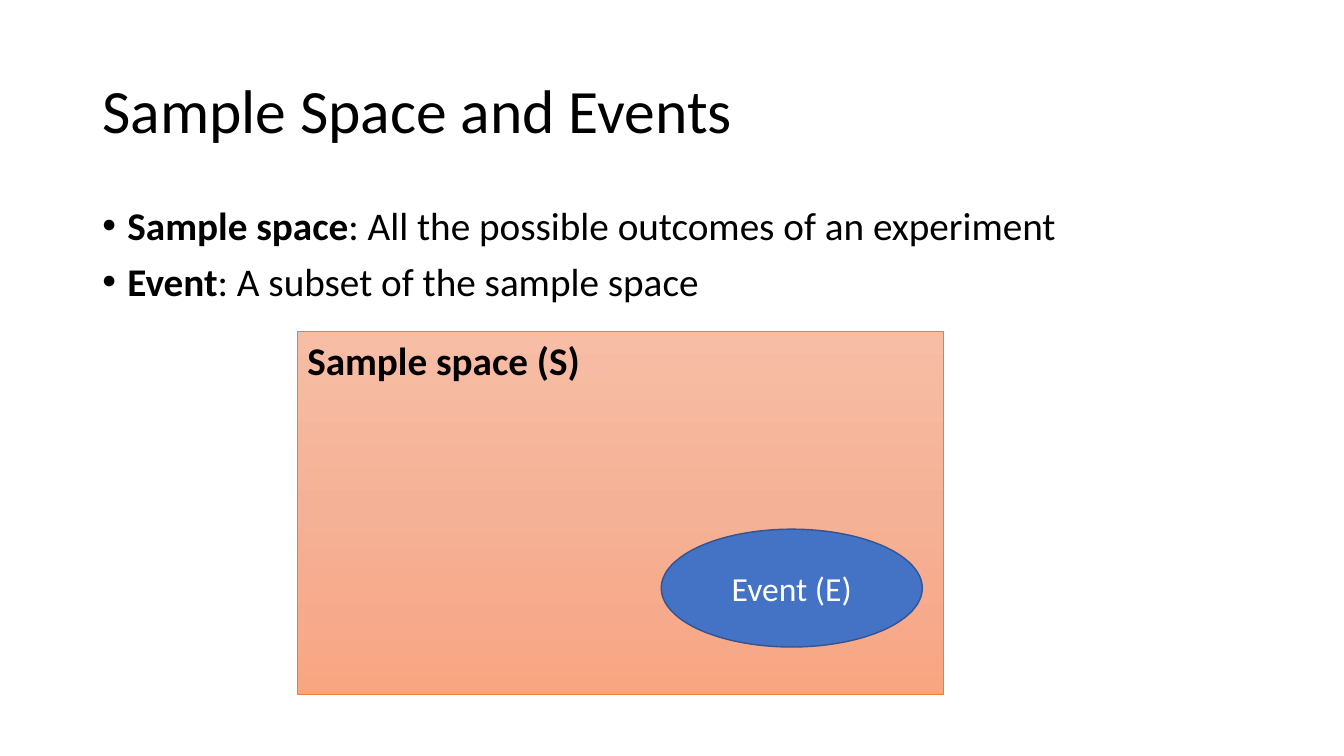
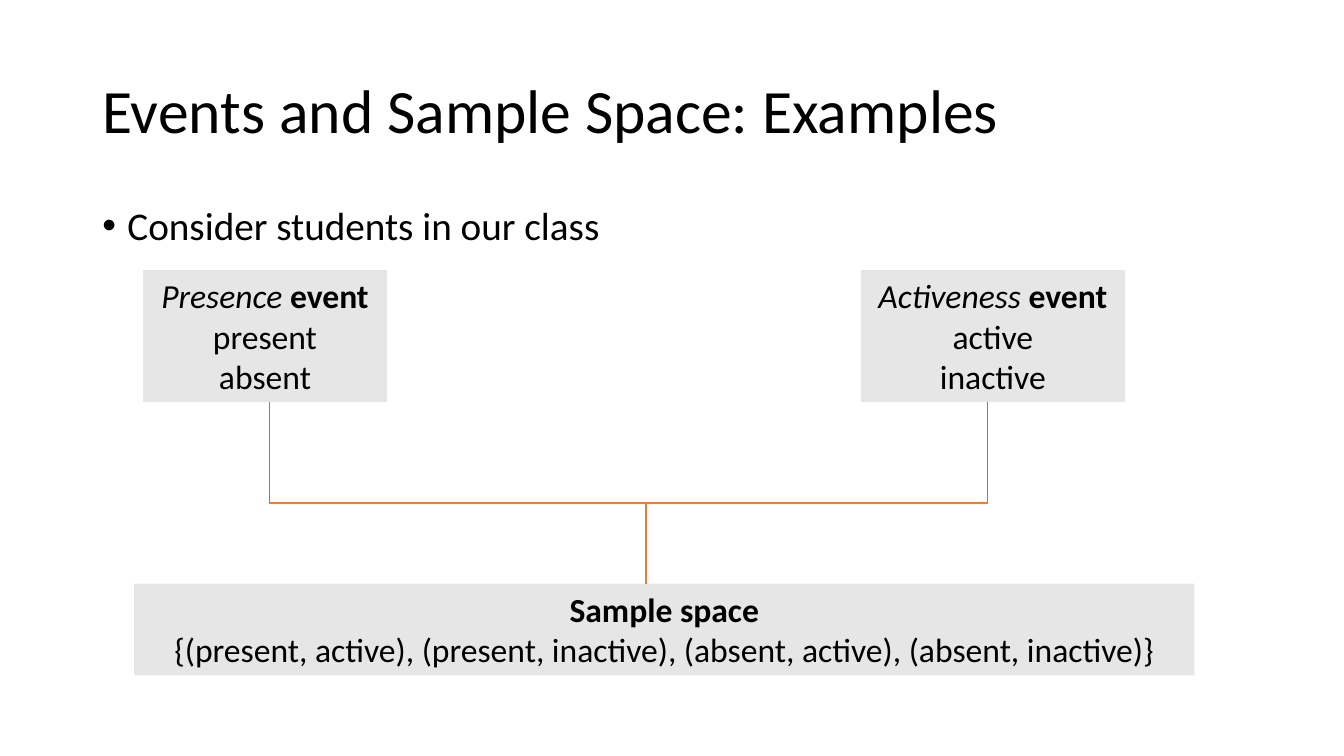
"""Build two slides on sample spaces and events."""
from copy import deepcopy
from dataclasses import dataclass

from lxml import etree
from pptx import Presentation
from pptx import util as u
from pptx.dml.color import RGBColor
from pptx.enum import shapes, text
from pptx.oxml import ns


@dataclass(frozen=True)
class Theme:
    font: str = "Calibri"
    title_size: int = 44
    body_size: int = 28
    label_size: int = 24
    ink: RGBColor = RGBColor(0, 0, 0)
    white: RGBColor = RGBColor(255, 255, 255)
    panel: RGBColor = RGBColor.from_string("E7E6E6")
    orange: RGBColor = RGBColor.from_string("ED7D31")
    gray: RGBColor = RGBColor.from_string("808080")
    blue: RGBColor = RGBColor.from_string("4472C4")
    dark_blue: RGBColor = RGBColor.from_string("325491")
    gradient: tuple = ("F7BDA5", "F5B196", "F8A582")


theme = Theme()
LEFT, CENTER = text.PP_ALIGN.LEFT, text.PP_ALIGN.CENTER
TOP, MIDDLE = text.MSO_ANCHOR.TOP, text.MSO_ANCHOR.MIDDLE


def write(box, paras, size, color=theme.ink, align=LEFT, anchor=TOP, spacing=1.0, bullet=False):
    """Fill a box with paragraphs, each a list of (words, style) pairs."""
    frame = box.text_frame
    frame.word_wrap = True
    frame.vertical_anchor = anchor
    frame.text = "\n".join("" for _ in paras)
    for para, spans in zip(frame.paragraphs, paras):
        para.alignment = align
        para.line_spacing = spacing
        for words, style in spans:
            span = para.add_run()
            span.text = words
            span.font.name = theme.font
            span.font.size = u.Pt(size)
            span.font.color.rgb = color
            span.font.bold = style == "bold"
            span.font.italic = style == "italic"
        if bullet:
            para.space_before = u.Pt(10)
            properties = para._p.get_or_add_pPr()
            properties.set("marL", str(u.Pt(18)))
            properties.set("indent", str(u.Pt(-18)))
            etree.SubElement(properties, ns.qn("a:buFont")).set("typeface", "Arial")
            etree.SubElement(properties, ns.qn("a:buChar")).set("char", "•")


def add_box(page, kind, left, top, width, height):
    """Add a preset shape without shadow or outline."""
    box = page.shapes.add_shape(kind, u.Pt(left), u.Pt(top), u.Pt(width), u.Pt(height))
    box.shadow.inherit = False
    box.line.fill.background()
    return box


deck = Presentation()
deck.slide_width, deck.slide_height = u.Pt(960), u.Pt(540)

outlines = [
    ("Sample Space and Events", [
        [("Sample space", "bold"), (": All the possible outcomes of an experiment", "")],
        [("Event", "bold"), (": A subset of the sample space", "")],
    ]),
    ("Events and Sample Space: Examples", [[("Consider students in our class", "")]]),
]
pages = []
for heading, bullets in outlines:
    page = deck.slides.add_slide(deck.slide_layouts[6])
    title = page.shapes.add_textbox(u.Pt(66), u.Pt(28.75), u.Pt(828), u.Pt(104.4))
    write(title, [[(heading, "")]], theme.title_size, anchor=MIDDLE, spacing=0.9)
    body = page.shapes.add_textbox(u.Pt(66), u.Pt(143.75), u.Pt(828), u.Pt(342.6))
    write(body, bullets, theme.body_size, spacing=0.9, bullet=True)
    pages.append(page)
definition_page, example_page = pages

space = add_box(definition_page, shapes.MSO_SHAPE.RECTANGLE, 212.4, 236.9, 461.5, 259.2)
space.fill.gradient()
space.fill.gradient_angle = 270
stop_list = space._element.spPr.find(".//" + ns.qn("a:gsLst"))
stop_list.insert(1, deepcopy(stop_list[0]))
for stop, position, color in zip(space.fill.gradient_stops, (0, 0.5, 1), theme.gradient):
    stop.position = position
    stop.color.rgb = RGBColor.from_string(color)
space.line.color.rgb = theme.orange
space.line.width = u.Pt(0.5)
write(space, [[("Sample space (S)", "bold")]], theme.body_size)

event = add_box(definition_page, shapes.MSO_SHAPE.OVAL, 472.3, 378, 186.5, 84.2)
event.fill.solid()
event.fill.fore_color.rgb = theme.blue
event.line.color.rgb = theme.dark_blue
event.line.width = u.Pt(1)
write(event, [[("Event (E)", "")]], theme.label_size, theme.white, CENTER, MIDDLE)

event_top, event_height, bar_y, space_top = 193, 94.3, 359.3, 416.9
event_bottom = event_top + event_height
panels = [
    (102.2, event_top, 174.2, event_height, [
        [("Presence ", "italic"), ("event", "bold")], [("present", "")], [("absent", "")],
    ]),
    (614.9, event_top, 188.6, event_height, [
        [("Activeness ", "italic"), ("event", "bold")], [("active", "")], [("inactive", "")],
    ]),
    (95.8, space_top, 757.4, 65.5, [
        [("Sample space", "bold")],
        [("{(present, active), (present, inactive), (absent, active), (absent, inactive)}", "")],
    ]),
]
for left, top, width, height, paras in panels:
    panel = add_box(example_page, shapes.MSO_SHAPE.RECTANGLE, left, top, width, height)
    panel.fill.solid()
    panel.fill.fore_color.rgb = theme.panel
    write(panel, paras, theme.label_size, align=CENTER)

presence_x, space_x, activeness_x = 192.2, 461.5, 705.6
links = [
    (presence_x, event_bottom, presence_x, bar_y, theme.gray, 0.5),
    (activeness_x, event_bottom, activeness_x, bar_y, theme.gray, 0.5),
    (space_x, bar_y, space_x, space_top, theme.orange, 1.25),
    (presence_x, bar_y, activeness_x, bar_y, theme.orange, 1.25),
]
for *ends, color, weight in links:
    link = example_page.shapes.add_connector(
        shapes.MSO_CONNECTOR.STRAIGHT, *(u.Pt(end) for end in ends))
    link.line.color.rgb = color
    link.line.width = u.Pt(weight)
    etree.SubElement(link._element.spPr, ns.qn("a:effectLst"))

deck.save("out.pptx")
